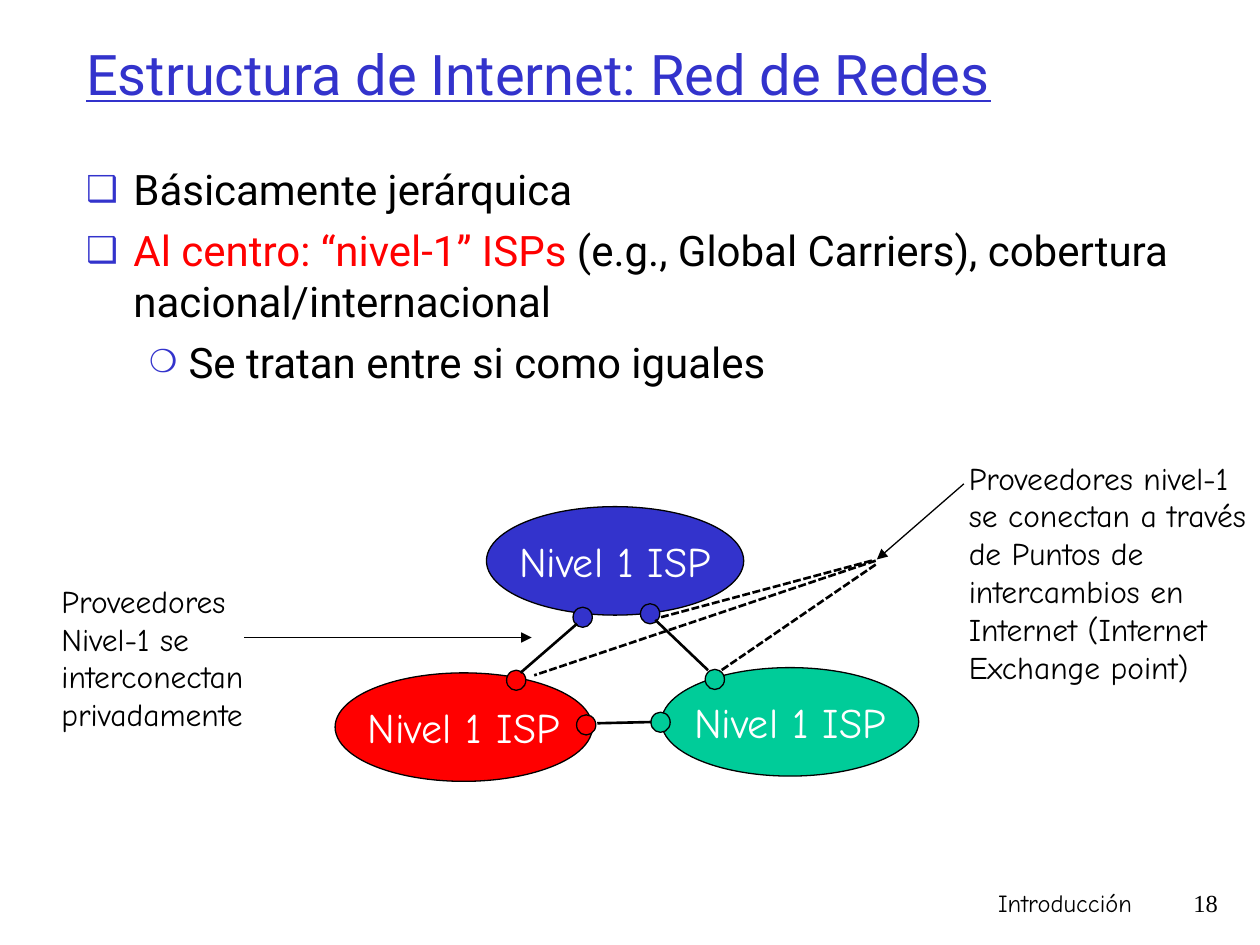
from pptx import Presentation
from pptx.util import Pt
from pptx.dml.color import RGBColor
from pptx.enum.dml import MSO_LINE_DASH_STYLE as DASH
from pptx.enum.shapes import MSO_CONNECTOR, MSO_SHAPE
from pptx.enum.text import MSO_ANCHOR, PP_ALIGN as ALIGN
from pptx.oxml.ns import qn
from lxml.etree import SubElement

BLUE, RED, GREEN = "3333CC", "FF0000", "00CC99"
BLACK, WHITE = "000000", "FFFFFF"
SANS, COMIC, SERIF = "Roboto", "Comic Neue", "Times New Roman"


def color(hex_code):
    return RGBColor.from_string(hex_code)


def place(sp, box):
    sp.left, sp.top, sp.width, sp.height = [Pt(v) for v in box]


def add_run(p, text, size, font, hex_code, underline=None):
    r = p.add_run()
    r.text = text
    r.font.size, r.font.name = Pt(size), font
    r.font.color.rgb = color(hex_code)
    r.font.underline = underline


def add_text(slide, box, text, size, font=COMIC, align=ALIGN.LEFT):
    tf = slide.shapes.add_textbox(*[Pt(v) for v in box]).text_frame
    tf.word_wrap = True
    p = tf.paragraphs[0]
    p.alignment = align
    add_run(p, text, size, font, BLACK)


def add_line(slide, origin, ends, width, dash=None, arrow=False):
    x, y = origin
    x1, y1, x2, y2 = ends
    line = slide.shapes.add_connector(
        MSO_CONNECTOR.STRAIGHT, Pt(x + x1), Pt(y + y1), Pt(x + x2), Pt(y + y2))
    line.line.color.rgb = color(BLACK)
    line.line.width = Pt(width)
    if dash:
        line.line.dash_style = dash
    if arrow:
        SubElement(line.line._get_or_add_ln(), qn("a:tailEnd"), type="triangle")
    SubElement(line._element.spPr, qn("a:effectLst"))


def add_oval(slide, box, fill):
    sp = slide.shapes.add_shape(MSO_SHAPE.OVAL, *[Pt(v) for v in box])
    sp.shadow.inherit = False
    sp.fill.solid()
    sp.fill.fore_color.rgb = color(fill)
    sp.line.color.rgb = color(BLACK)
    sp.line.width = Pt(0.75)
    return sp


def set_bullet(p, char, percent, left, hanging):
    pPr = p._p.get_or_add_pPr()
    pPr.set("marL", str(Pt(left)))
    pPr.set("indent", str(-Pt(hanging)))
    SubElement(SubElement(pPr, qn("a:buClr")), qn("a:srgbClr"), val=BLUE)
    SubElement(pPr, qn("a:buSzPct"), val=str(percent * 1000))
    SubElement(pPr, qn("a:buChar"), char=char)


def fill_title(slide, box, text):
    sp = slide.shapes.title
    place(sp, box)
    tf = sp.text_frame
    tf.vertical_anchor = MSO_ANCHOR.MIDDLE
    p = tf.paragraphs[0]
    p.alignment = ALIGN.LEFT
    add_run(p, text, 32, SANS, BLUE, underline=True)


def fill_body(slide, box, items):
    sp = slide.placeholders[1]
    place(sp, box)
    tf = sp.text_frame
    bullets = [("❑", 85, 27, 27), ("❍", 75, 58.5, 22.5)]
    for i, (level, runs) in enumerate(items):
        p = tf.add_paragraph() if i else tf.paragraphs[0]
        p.level = level
        p.space_before = Pt(6 if i else 0)
        set_bullet(p, *bullets[level])
        for text, hex_code in runs:
            add_run(p, text, 24, SANS, hex_code)


def draw_network(slide, origin):
    x, y = origin
    # Providers: position, fill, and routers relative to each provider
    providers = [
        (1.5, 96.5, RED, [(98, -1.5), (138, 24)]),
        (88, 1.5, BLUE, [(88, 55.5), (49.5, 57.5)]),
        (188, 93.5, GREEN, [(25, 1), (-6, 25.5)]),
    ]
    for px, py, fill, _ in providers:
        sp = add_oval(slide, (x + px, y + py, 147, 62), fill)
        tf = sp.text_frame
        tf.word_wrap = False
        tf.vertical_anchor = MSO_ANCHOR.MIDDLE
        p = tf.paragraphs[0]
        p.alignment = ALIGN.CENTER
        add_run(p, "Nivel 1 ISP", 24, COMIC, WHITE)
    for px, py, fill, routers in providers:
        for dx, dy in routers:
            add_oval(slide, (x + px + dx, y + py + dy, 11, 11.5), fill)
    # Private links
    for ends in [(151.3, 125.3, 182.2, 124.6), (184.4, 66.2, 214.6, 95),
                 (107.4, 96.5, 139.8, 68.4)]:
        add_line(slide, origin, ends, 1.5)
    # Links through the exchange point
    for ends in [(310.4, 34.6, 221.1, 95.8), (308.2, 32.4, 187.3, 64.8),
                 (310.4, 32.4, 115.3, 97.9)]:
        add_line(slide, origin, ends, 1.5, dash=DASH.SQUARE_DOT)


def add_callout(slide, box, text, arrow_ends):
    add_text(slide, box, text, 18)
    add_line(slide, box[:2], arrow_ends, 0.75, arrow=True)


def add_footer(slide, box, label, number):
    x, y, w, h = box
    number_w = 49
    add_text(slide, (x, y, w - number_w, h), label, 14, align=ALIGN.RIGHT)
    add_text(slide, (x + w - number_w, y, number_w, h), number, 14, SERIF, ALIGN.RIGHT)


def main():
    prs = Presentation()
    prs.slide_width, prs.slide_height = Pt(720), Pt(540)
    slide = prs.slides.add_slide(prs.slide_layouts[1])
    fill_title(slide, (42, 11.5, 660, 60.5), "Estructura de Internet: Red de Redes")
    fill_body(slide, (42, 90, 660, 402), [
        (0, [("Básicamente jerárquica", BLACK)]),
        (0, [("Al centro: “nivel-1” ISPs ", RED),
             ("(e.g., Global Carriers), cobertura nacional/internacional", BLACK)]),
        (1, [("Se tratan entre si como iguales", BLACK)]),
    ])
    draw_network(slide, (190, 288))
    add_callout(slide, (28, 329, 142.5, 93.5),
                "Proveedores Nivel-1 se interconectan privadamente",
                (111.7, 35.3, 275.8, 35.3))
    add_callout(slide, (546.5, 258.5, 173.5, 137),
                "Proveedores nivel-1 se conectan a través de Puntos de "
                "intercambios en Internet (Internet Exchange point)",
                (4.3, 18, -45.4, 61.2))
    add_footer(slide, (426, 504, 277, 36), "Introducción", "18")
    prs.save("out.pptx")


if __name__ == "__main__":
    main()
